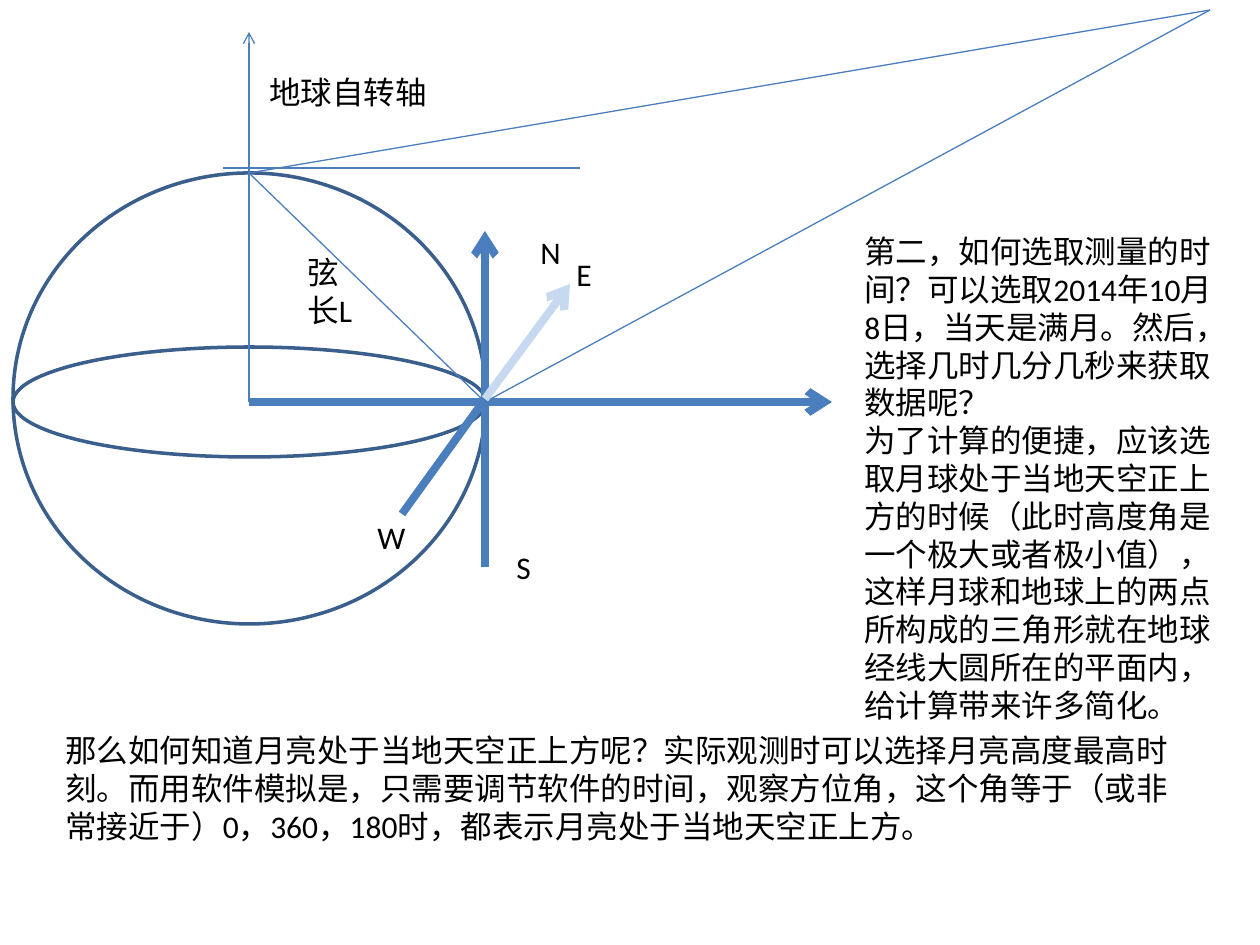
"""Build a slide on choosing when to measure the Moon from two points on Earth."""
from dataclasses import dataclass

from lxml import etree
from pptx import Presentation
from pptx.dml.color import RGBColor
from pptx.enum.shapes import MSO_CONNECTOR, MSO_SHAPE
from pptx.enum.text import MSO_AUTO_SIZE
from pptx.oxml.ns import qn
from pptx.util import Emu, Pt

OVAL = MSO_SHAPE.OVAL
STRAIGHT = MSO_CONNECTOR.STRAIGHT
GROW = MSO_AUTO_SIZE.SHAPE_TO_FIT_TEXT
SCALE = 914400 / 126
BLANK = 6


@dataclass(frozen=True)
class Theme:
    """Colours, font and sizes of the slide."""
    ink: str = "000000"
    rim: str = "3A5F8C"
    blue: str = "4B7EBC"
    pale: str = "C6D9F1"
    font: str = "Calibri"
    size: int = 18
    thin: float = 0.75
    edge: float = 2
    bold: float = 4.5


THEME = Theme()

POLE = (249, 173)
CORE = (249, 402)
SITE = (485, 402)
MOON = (1210, 10)

RINGS = [(13, 173, 473, 451), (13, 347, 473, 110)]

RAYS = [
    (SITE, MOON),
    ((223, 168), (580, 168)),
    (POLE, MOON),
    (POLE, SITE),
]

LABELS = [
    ((295, 247, 73, 89), ["弦长L"]),
    ((504, 542, 73, 50), ["S"]),
    ((365, 512, 73, 50), ["W"]),
    ((564, 249, 73, 50), ["E"]),
    ((528, 227, 73, 50), ["N"]),
    ((257, 67, 221, 50), ["地球自转轴"]),
    ((852, 226, 387, 509), [
        "第二，如何选取测量的时间？可以选取2014年10月8日，当天是满月。"
        "然后，选择几时几分几秒来获取数据呢？",
        "为了计算的便捷，应该选取月球处于当地天空正上方的时候"
        "（此时高度角是一个极大或者极小值），这样月球和地球上的两点"
        "所构成的三角形就在地球经线大圆所在的平面内，给计算带来许多简化。",
    ]),
    ((53, 725, 1158, 127), [
        "那么如何知道月亮处于当地天空正上方呢？实际观测时可以选择月亮高度最高时刻。"
        "而用软件模拟是，只需要调节软件的时间，观察方位角，"
        "这个角等于（或非常接近于）0，360，180时，都表示月亮处于当地天空正上方。",
    ]),
]


def px(*nums):
    """Turn pixel lengths into EMU."""
    return [Emu(round(n * SCALE)) for n in nums]


def add_ring(slide, box):
    """Add an unfilled ellipse."""
    ring = slide.shapes.add_shape(OVAL, *px(*box))
    ring.shadow.inherit = False
    ring.fill.background()
    ring.line.color.rgb = RGBColor.from_string(THEME.rim)
    ring.line.width = Pt(THEME.edge)


def add_line(slide, start, end, width=THEME.thin, color=THEME.blue, arrow=False):
    """Add a straight line, with an open arrowhead at its end if asked."""
    line = slide.shapes.add_connector(STRAIGHT, *px(*start, *end))
    line.line.color.rgb = RGBColor.from_string(color)
    line.line.width = Pt(width)
    props = line._element.spPr
    if arrow:
        etree.SubElement(props.find(qn("a:ln")), qn("a:tailEnd"), type="arrow")
    etree.SubElement(props, qn("a:effectLst"))


def add_text(slide, box, lines):
    """Add a wrapped text box with one paragraph per line."""
    frame = slide.shapes.add_textbox(*px(*box)).text_frame
    frame.word_wrap = True
    frame.auto_size = GROW
    frame.text = "\n".join(lines)
    for para in frame.paragraphs:
        para.font.name = THEME.font
        para.font.size = Pt(THEME.size)
        para.font.color.rgb = RGBColor.from_string(THEME.ink)


def main():
    """Build and save the slide."""
    deck = Presentation()
    deck.slide_width, deck.slide_height = px(1260, 945)
    slide = deck.slides.add_slide(deck.slide_layouts[BLANK])
    for box in RINGS:
        add_ring(slide, box)
    for start, end in RAYS:
        add_line(slide, start, end)
    add_line(slide, CORE, (832, 402), THEME.bold, arrow=True)
    add_line(slide, (485, 567), (485, 231), THEME.bold, arrow=True)
    add_line(slide, (402, 514), (485, 399), THEME.bold)
    add_line(slide, (485, 399), (570, 284), THEME.bold, THEME.pale, True)
    add_line(slide, CORE, (249, 32), arrow=True)
    for box, lines in LABELS:
        add_text(slide, box, lines)
    deck.save("out.pptx")


if __name__ == "__main__":
    main()
